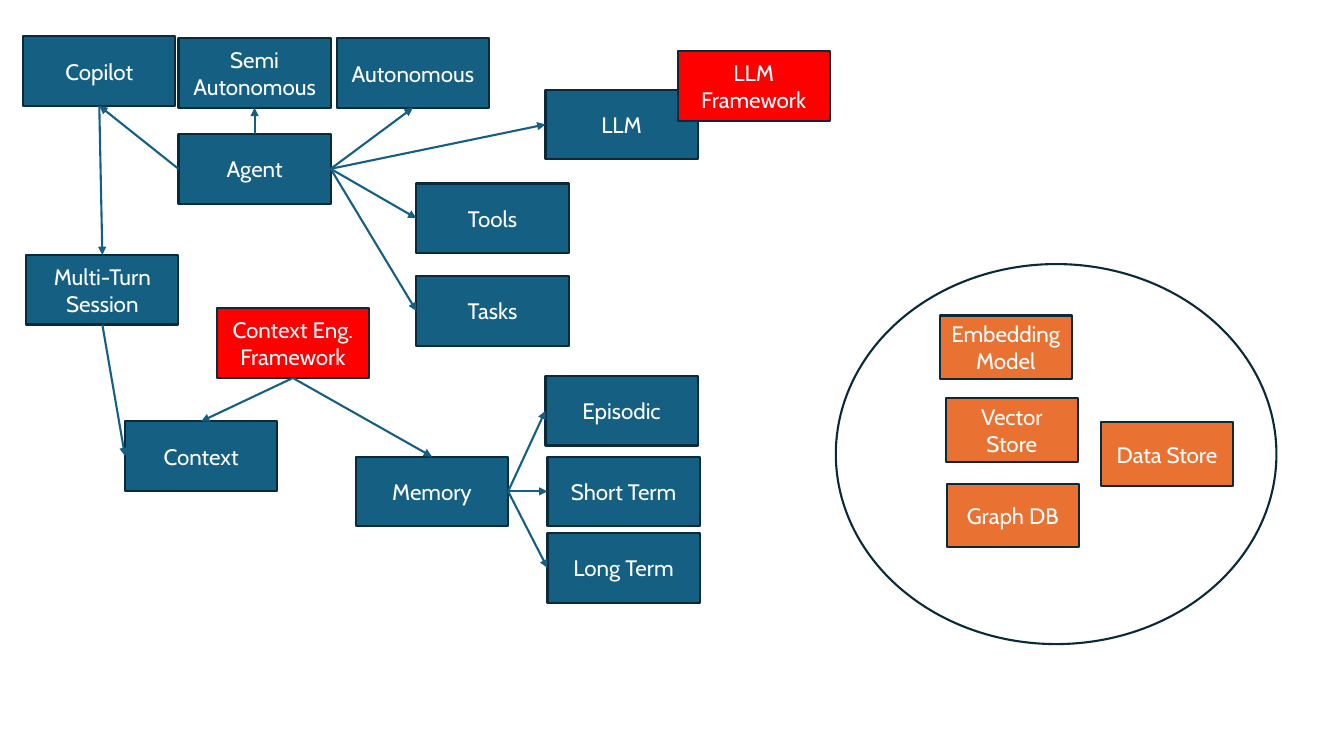
from lxml import etree
from pptx import Presentation
from pptx.dml.color import RGBColor
from pptx.enum.shapes import MSO_CONNECTOR, MSO_SHAPE
from pptx.enum.text import MSO_ANCHOR, PP_ALIGN
from pptx.oxml.ns import qn
from pptx.util import Inches, Pt

RECTANGLE, OVAL = MSO_SHAPE.RECTANGLE, MSO_SHAPE.OVAL
STRAIGHT = MSO_CONNECTOR.STRAIGHT
MIDDLE, CENTER = MSO_ANCHOR.MIDDLE, PP_ALIGN.CENTER
TOP, LEFT, BOTTOM, RIGHT = range(4)  # connection sites of a rectangle

BLUE = RGBColor(0x15, 0x60, 0x82)
NAVY = RGBColor(0x09, 0x2A, 0x39)
RED = RGBColor(0xFF, 0x00, 0x00)
ORANGE = RGBColor(0xE9, 0x71, 0x32)
WHITE = RGBColor(0xFF, 0xFF, 0xFF)

FONT = "Cabin"
FONT_SIZE = Pt(16)
LINE_WIDTH = Pt(1.5)
CELL = Inches(0.1)  # columns and rows of the slide grid
CONCEPT_SIZE = (15.1, 6.9)
STORAGE_SIZE = (13.1, 6.3)

# label: (column, row, fill)
CONCEPTS = {
    "Agent": (17.7, 13.3, BLUE),
    "LLM": (54.1, 8.9, BLUE),
    "Multi-Turn Session": (2.6, 25.3, BLUE),
    "Context": (12.4, 41.8, BLUE),
    "Tools": (41.3, 18.2, BLUE),
    "LLM Framework": (67.2, 5.1, RED),
    "Context Eng. Framework": (21.5, 30.6, RED),
    "Tasks": (41.3, 27.4, BLUE),
    "Copilot": (2.3, 3.6, BLUE),
    "Semi Autonomous": (17.7, 3.8, BLUE),
    "Autonomous": (33.4, 3.8, BLUE),
    "Episodic": (54.1, 37.3, BLUE),
    "Memory": (35.3, 45.3, BLUE),
    "Short Term": (54.3, 45.3, BLUE),
    "Long Term": (54.3, 52.9, BLUE),
}

# (from, side, to, side)
ARROWS = [
    ("Agent", LEFT, "Copilot", BOTTOM),
    ("Agent", TOP, "Semi Autonomous", BOTTOM),
    ("Agent", RIGHT, "Autonomous", BOTTOM),
    ("Agent", RIGHT, "LLM", LEFT),
    ("Agent", RIGHT, "Tools", LEFT),
    ("Agent", RIGHT, "Tasks", LEFT),
    ("Copilot", BOTTOM, "Multi-Turn Session", TOP),
    ("Multi-Turn Session", BOTTOM, "Context", LEFT),
    ("Context Eng. Framework", BOTTOM, "Context", TOP),
    ("Context Eng. Framework", BOTTOM, "Memory", TOP),
    ("Memory", RIGHT, "Episodic", LEFT),
    ("Memory", RIGHT, "Short Term", LEFT),
    ("Memory", RIGHT, "Long Term", LEFT),
]

GROUPED_STORAGE = {
    "Embedding Model": (93.2, 31.3),
    "Vector Store": (93.8, 39.5),
    "Graph DB": (93.9, 48),
}


def add_outlined(shapes, preset, column, row, columns, rows):
    outlined = shapes.add_shape(
        preset, *(round(n * CELL) for n in (column, row, columns, rows)))
    outlined.shadow.inherit = False
    outlined.line.color.rgb = NAVY
    outlined.line.width = LINE_WIDTH
    return outlined


def add_box(shapes, label, column, row, size, fill):
    box = add_outlined(shapes, RECTANGLE, column, row, *size)
    box.fill.solid()
    box.fill.fore_color.rgb = fill
    frame = box.text_frame
    frame.text = label
    frame.word_wrap = True
    frame.vertical_anchor = MIDDLE
    paragraph = frame.paragraphs[0]
    paragraph.alignment = CENTER
    font = paragraph.runs[0].font
    font.name = FONT
    font.size = FONT_SIZE
    font.color.rgb = WHITE
    return box


def add_arrow(shapes, source, source_side, target, target_side):
    arrow = shapes.add_connector(STRAIGHT, 0, 0, 0, 0)
    arrow.begin_connect(source, source_side)
    arrow.end_connect(target, target_side)
    arrow.line.color.rgb = BLUE
    arrow.line.width = LINE_WIDTH
    etree.SubElement(arrow.line._get_or_add_ln(), qn("a:tailEnd"), type="triangle")
    etree.SubElement(arrow._element.spPr, qn("a:effectLst"))


def add_storage(shapes):
    """Draw the circled group of stores and the separate data store."""
    group = shapes.add_group_shape().shapes
    for label, (column, row) in GROUPED_STORAGE.items():
        add_box(group, label, column, row, STORAGE_SIZE, ORANGE)
    circle = add_outlined(group, OVAL, 82.9, 26.2, 43.7, 37.7)
    circle.fill.background()
    add_box(shapes, "Data Store", 109.2, 41.9, STORAGE_SIZE, ORANGE)


def main():
    deck = Presentation()
    deck.slide_width, deck.slide_height = Inches(13.33), Inches(7.5)
    shapes = deck.slides.add_slide(deck.slide_layouts[6]).shapes
    concepts = {
        label: add_box(shapes, label, column, row, CONCEPT_SIZE, fill)
        for label, (column, row, fill) in CONCEPTS.items()
    }
    for source, source_side, target, target_side in ARROWS:
        add_arrow(shapes, concepts[source], source_side,
                  concepts[target], target_side)
    add_storage(shapes)
    deck.save("out.pptx")


if __name__ == "__main__":
    main()
